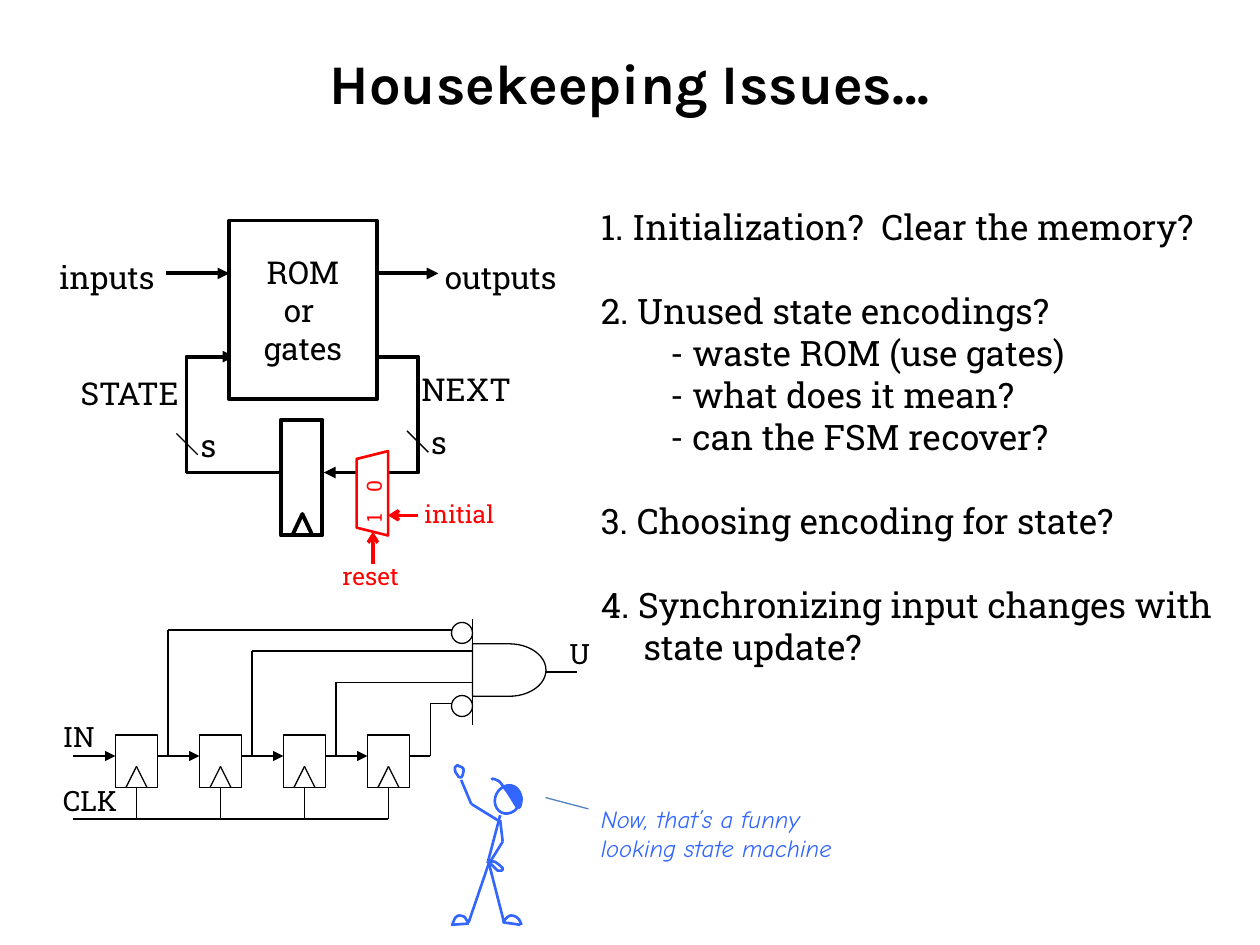
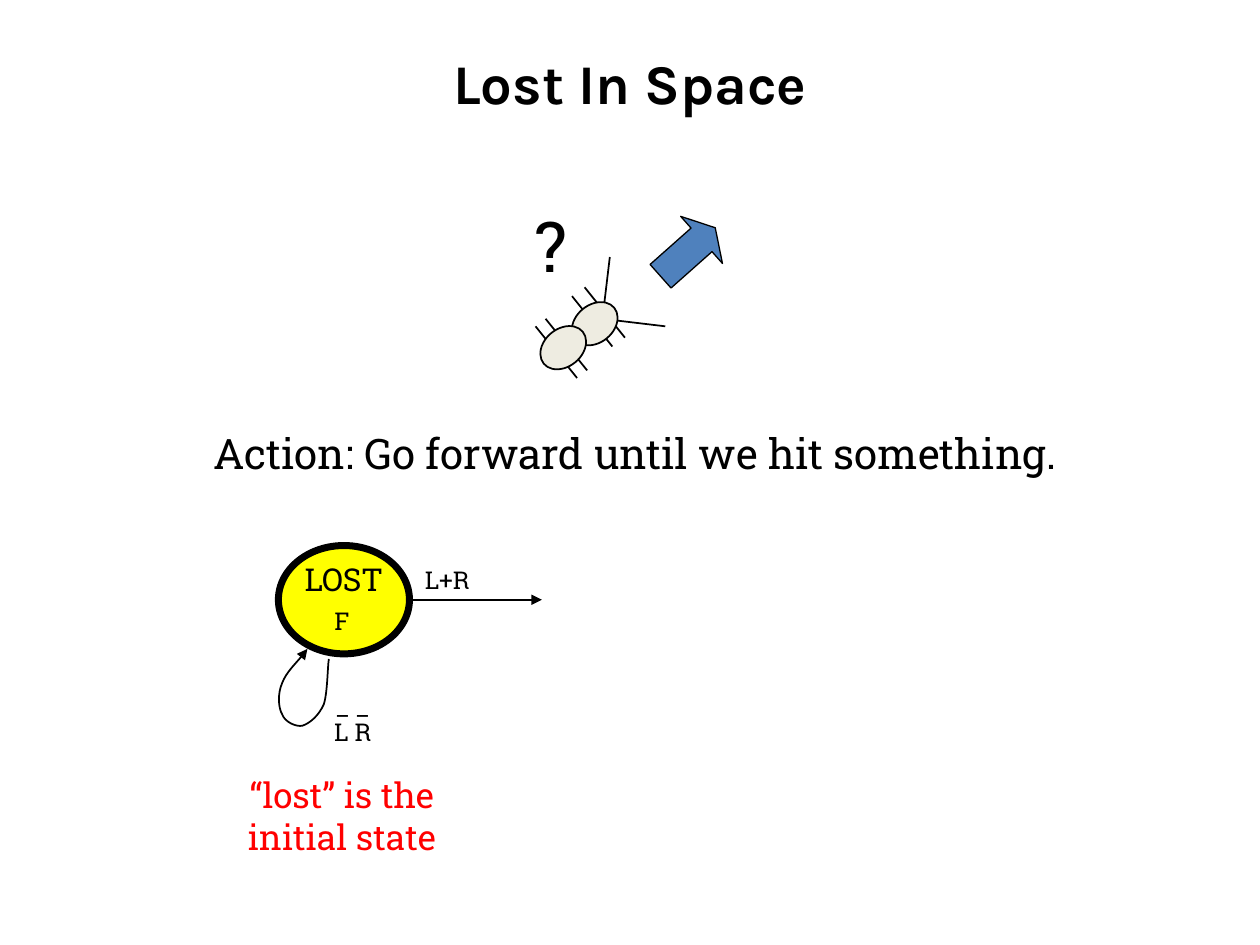
"""Build two slides on state machines: open issues and the lost state."""
from itertools import pairwise
from lxml.etree import SubElement
from pptx import Presentation
from pptx.dml.color import RGBColor
from pptx.enum.shapes import MSO_CONNECTOR, MSO_SHAPE
from pptx.enum.text import MSO_ANCHOR, PP_ALIGN
from pptx.oxml.ns import qn
from pptx.util import Inches, Pt

HUES = {"ink": "000000", "paper": "FFFFFF", "red": "FF0000", "pen": "3366FF",
        "steel": "4F81BD", "shell": "EEECE1", "sun": "FFFF00"}
SLAB, KARLA, COMIC = "Roboto Slab", "Karla", "Comic Neue"
MID, LEFT = PP_ALIGN.CENTER, PP_ALIGN.LEFT
TIGHT = (0.07, 0.03)

ISSUES = [
    ("1. Initialization?  Clear the memory?", 0, 0),
    ("2. Unused state encodings?", 0, 24),
    ("- waste ROM (use gates)", 0.55, 0),
    ("- what does it mean?", 0.55, 0),
    ("- can the FSM recover?", 0.55, 0),
    ("3. Choosing encoding for state?", 0, 24),
    ("4. Synchronizing input changes with", 0, 24),
    ("state update?", 0.34, 0),
]
LABELS = [
    ("NEXT", (3.23, 2.89, 0.94, 0.4)), ("STATE", (0.51, 2.92, 1.04, 0.4)),
    ("inputs", (0.33, 2, 1.04, 0.4)), ("outputs", (3.39, 2, 1.17, 0.4)),
    ("s", (3.32, 3.31, 0.33, 0.4)), ("s", (1.49, 3.33, 0.33, 0.4)),
]
PINS = [("IN", (0.4, 5.66, 0.46, 0.37)), ("CLK", (0.4, 6.17, 0.66, 0.37)),
        ("U", (4.42, 5, 0.38, 0.37))]
LIMBS = [
    [(3.97, 6.47), (3.87, 6.85)], [(3.88, 6.85), (3.72, 7.32)],
    [(3.88, 6.85), (4, 7.32)], [(3.72, 7.33), (3.58, 7.34)],
    [(3.99, 7.32), (4.13, 7.34)], [(3.95, 6.51), (3.74, 6.38)],
    [(3.74, 6.38), (3.66, 6.19)], [(3.97, 6.51), (3.99, 6.68)],
    [(3.99, 6.68), (3.89, 6.84)],
]
SHOES = [
    [(3.59, 7.34), (3.6, 7.31), (3.61, 7.28), (3.63, 7.27), (3.64, 7.26),
     (3.68, 7.27), (3.69, 7.28), (3.7, 7.29), (3.71, 7.32), (3.72, 7.33)],
    [(4.14, 7.34), (4.12, 7.3), (4.12, 7.29), (4.1, 7.28), (4.09, 7.27),
     (4.05, 7.26), (4.04, 7.27), (4.02, 7.28), (4, 7.31), (3.99, 7.32)],
]
HANDS = [
    [(3.66, 6.17), (3.67, 6.17), (3.68, 6.12), (3.68, 6.11), (3.68, 6.09),
     (3.65, 6.08), (3.64, 6.08), (3.64, 6.07), (3.63, 6.07), (3.62, 6.08),
     (3.62, 6.08), (3.6, 6.1), (3.61, 6.11), (3.61, 6.12), (3.62, 6.14),
     (3.63, 6.15), (3.63, 6.16), (3.65, 6.18), (3.66, 6.17)],
    [(3.88, 6.84), (3.89, 6.83), (3.92, 6.84), (3.93, 6.84), (3.94, 6.85),
     (3.96, 6.86), (3.97, 6.87), (3.98, 6.88), (3.99, 6.89), (3.99, 6.89),
     (3.99, 6.9), (3.99, 6.91), (3.98, 6.91), (3.98, 6.91), (3.96, 6.91),
     (3.95, 6.91), (3.94, 6.9), (3.93, 6.89), (3.92, 6.88), (3.91, 6.87),
     (3.88, 6.84), (3.88, 6.84)],
]
BRIM = [(4.11, 6.42), (4.08, 6.37), (4.05, 6.32), (4.03, 6.29), (4, 6.25),
        (3.98, 6.22), (3.96, 6.2), (3.94, 6.19), (3.92, 6.18), (3.91, 6.18),
        (3.9, 6.18), (3.9, 6.19), (3.9, 6.19)]
CAP = [(4.12, 6.41), (4.13, 6.41), (4.14, 6.37), (4.14, 6.34), (4.14, 6.32),
       (4.13, 6.29), (4.11, 6.27), (4.1, 6.26), (4.08, 6.24), (4.07, 6.24),
       (4.05, 6.23), (4.04, 6.24), (4.03, 6.24), (4.02, 6.24), (4.01, 6.23),
       (4.01, 6.25), (4.02, 6.26), (4.04, 6.3), (4.06, 6.33), (4.08, 6.35),
       (4.11, 6.4), (4.12, 6.41)]
LEGS = [
    [(5.28, 2.59), (4.86, 2.54)], [(4.33, 2.53), (4.66, 2.94)],
    [(4.25, 2.59), (4.58, 3)], [(4.64, 2.28), (4.96, 2.68)],
    [(4.54, 2.35), (4.86, 2.75)], [(4.84, 2.04), (4.79, 2.46)],
]
LOOP = [(2.61, 5.23), (2.6, 5.29), (2.6, 5.5), (2.57, 5.59), (2.53, 5.68),
        (2.46, 5.74), (2.4, 5.76), (2.35, 5.77), (2.26, 5.73), (2.24, 5.67),
        (2.21, 5.62), (2.2, 5.51), (2.24, 5.42), (2.27, 5.34), (2.4, 5.21),
        (2.44, 5.15)]
STATE = [
    ("LOST", (2.3, 4.45, 0.86, 0.33), 18, 0.88),
    ("F", (2.58, 4.81, 0.27, 0.27), 14, 0.9),
    ("L+R", (3.28, 4.48, 0.54, 0.27), 14, 0.9),
    ("_ _\nL R", (2.57, 5.48, 0.46, 0.48), 14, 0.9),
    ("Action: Go forward until we hit something.", (1.5, 3.42, 7.08, 0.42), 24, 0.87),
]


def tint(name):
    return RGBColor.from_string(HUES[name])


def style(frame, words, size, hue="ink", face=SLAB, align=MID, gap=None,
          bold=False, slant=False):
    frame.text = words
    for para in frame.paragraphs:
        para.alignment = align
        if gap:
            para.line_spacing = gap
        font = para.font
        font.name, font.size, font.bold, font.italic = face, Pt(size), bold, slant
        font.color.rgb = tint(hue)


def write(slide, words, box, size, wrap=False, inset=(0.1, 0.05), turn=0, **look):
    text = slide.shapes.add_textbox(*map(Inches, box))
    text.rotation = turn
    frame = text.text_frame
    frame.word_wrap = wrap
    frame.margin_left = frame.margin_right = Inches(inset[0])
    frame.margin_top = frame.margin_bottom = Inches(inset[1])
    style(frame, words, size, **look)
    return frame


def paint(part, fill, hue, width):
    part.shadow.inherit = False
    if fill:
        part.fill.solid()
        part.fill.fore_color.rgb = tint(fill)
    else:
        part.fill.background()
    part.line.color.rgb = tint(hue)
    part.line.width = Pt(width)


def shape(slide, kind, box, fill="paper", hue="ink", width=0.75, turn=0):
    part = slide.shapes.add_shape(kind, *map(Inches, box))
    part.rotation = turn
    paint(part, fill, hue, width)
    return part


def tip(part, head, tail):
    for end, mark in (("a:headEnd", head), ("a:tailEnd", tail)):
        if mark:
            SubElement(part.line._get_or_add_ln(), qn(end), type=mark)


def wire(slide, *dots, hue="ink", width=0.75, tail=None):
    for (x, y), (u, v) in pairwise(dots):
        part = slide.shapes.add_connector(MSO_CONNECTOR.STRAIGHT, *map(Inches, (x, y, u, v)))
        part.line.color.rgb = tint(hue)
        part.line.width = Pt(width)
        SubElement(part._element.spPr, qn("a:effectLst"))
        tip(part, None, tail)


def trace(slide, dots, hue="ink", width=0.75, head=None, tail=None, fill=None,
          close=False, curve=False):
    spots = [(Inches(x), Inches(y)) for x, y in dots]
    pen = slide.shapes.build_freeform(*spots[0])
    pen.add_line_segments(spots[1:], close=close)
    part = pen.convert_to_shape()
    paint(part, fill, hue, width)
    tip(part, head, tail)
    if curve:
        legs = list(part._element.iter(qn("a:lnTo")))[:len(dots) - 1]
        for k in range(0, len(legs), 3):
            arc = SubElement(legs[k].getparent(), qn("a:cubicBezTo"))
            legs[k].addprevious(arc)
            for leg in legs[k:k + 3]:
                arc.append(leg[0])
                leg.getparent().remove(leg)


def page(deck, title):
    slide = deck.slides.add_slide(deck.slide_layouts[6])
    frame = write(slide, title, (0.5, 0.3, 9, 0.7), 32, wrap=True, face=KARLA, bold=True)
    frame.vertical_anchor = MSO_ANCHOR.MIDDLE
    return slide


def draw_rom(slide):
    bold = {"width": 2.25}
    shape(slide, MSO_SHAPE.RECTANGLE, (2.23, 3.33, 0.33, 0.92), fill=None, **bold)
    trace(slide, [(2.32, 4.25), (2.4, 4.08), (2.48, 4.25)], **bold)
    trace(slide, [(2.94, 2.83), (3.32, 2.83), (3.32, 3.75), (2.57, 3.75)],
          tail="triangle", **bold)
    trace(slide, [(1.86, 2.83), (1.48, 2.83), (1.48, 3.75), (2.23, 3.75)],
          head="triangle", **bold)
    rom = shape(slide, MSO_SHAPE.RECTANGLE, (1.82, 1.75, 1.17, 1.42), **bold)
    rom.text_frame.word_wrap = False
    rom.text_frame.vertical_anchor = MSO_ANCHOR.MIDDLE
    style(rom.text_frame, "ROM\nor \ngates", 18)
    for x in (1.32, 2.98):
        wire(slide, (x, 2.17), (x + 0.5, 2.17), tail="triangle", **bold)
    for x, y in ((3.23, 3.42), (1.4, 3.44)):
        wire(slide, (x, y), (x + 0.17, y + 0.17))
    for words, box in LABELS:
        write(slide, words, box, 18)


def draw_mux(slide):
    red = {"hue": "red"}
    shape(slide, MSO_SHAPE.TRAPEZOID, (2.62, 3.79, 0.67, 0.25), width=1.5, turn=270, **red)
    wire(slide, (2.96, 4.48), (2.96, 4.22), width=2, tail="arrow", **red)
    wire(slide, (3.32, 4.09), (3.08, 4.09), width=2, tail="arrow", **red)
    for words, box in (("reset", (2.62, 4.4, 0.67, 0.34)), ("initial", (3.27, 3.91, 0.76, 0.34))):
        write(slide, words, box, 14, align=LEFT, **red)
    ports = write(slide, "1 0", (2.65, 3.78, 0.63, 0.3), 12, wrap=True, turn=270,
                  align=LEFT, **red)
    ports.paragraphs[0].runs[0].font._element.set("spc", "450")


def draw_chain(slide):
    unit = 1 / 12
    side, first, foot = 4 * unit, 11 * unit, 6.25
    rails = (5, 62 * unit, 65 * unit)
    for k in range(4):
        x = first + k * 2 * side
        mid = x + side / 2
        shape(slide, MSO_SHAPE.RECTANGLE, (x, foot - 5 * unit, side, 5 * unit))
        wire(slide, (mid - unit, foot), (mid, foot - 2 * unit), (mid + unit, foot))
        wire(slide, (x - side, 6), (x, 6), tail="triangle")
        wire(slide, (mid, foot), (mid, 6.5))
    for k, y in enumerate(rails):
        tap = 16 * unit + k * 2 * side
        wire(slide, (tap, 6), (tap, y), (3.75, y))
    wire(slide, (3.25, 6), (41 * unit, 6), (41 * unit, 67 * unit), (3.75, 67 * unit))
    wire(slide, (3.75, 59 * unit), (3.75, 69 * unit))
    for y in (5.52, 4.94):
        shape(slide, MSO_SHAPE.OVAL, (43 * unit, y, 2 * unit, 2 * unit))
    wire(slide, (37 * unit, 6.5), (7 * unit, 6.5))
    shape(slide, MSO_SHAPE.FLOWCHART_DELAY, (3.75, 5.11, 7 * unit, 5 * unit))
    wire(slide, (52 * unit, 64 * unit), (55 * unit, 64 * unit))
    for words, box in PINS:
        write(slide, words, box, 16, align=LEFT)


def draw_figure(slide):
    write(slide, "Now, that’s a funny \vlooking state machine", (4.67, 6.33, 2.24, 0.57), 14,
          hue="pen", face=COMIC, align=LEFT, slant=True)
    wire(slide, (4.33, 6.33), (4.67, 6.42), hue="steel")
    pen = {"hue": "pen", "width": 1.5}
    for dots in LIMBS:
        wire(slide, *dots, **pen)
    for dots in SHOES:
        trace(slide, dots, curve=True, **pen)
    for dots in HANDS:
        trace(slide, dots, curve=True, close=True, **pen)
    shape(slide, MSO_SHAPE.OVAL, (3.93, 6.23, 0.2, 0.23), fill=None, turn=26.4, **pen)
    trace(slide, BRIM, curve=True, **pen)
    trace(slide, CAP, curve=True, fill="pen", close=True, **pen)


def list_issues(slide):
    words = "\n".join(row[0] for row in ISSUES)
    frame = write(slide, words, (4.67, 1.58, 5.24, 3.8), 20, wrap=True, align=LEFT)
    for para, (_, dent, lead) in zip(frame.paragraphs, ISSUES):
        para.space_before = Pt(lead)
        para._p.get_or_add_pPr().set("marL", str(Inches(dent)))


def draw_lost(slide):
    write(slide, "?", (4.17, 1.58, 0.44, 0.73), 40, inset=TIGHT, align=LEFT)
    for dots in LEGS:
        wire(slide, *dots, width=1)
    for x, y in ((4.57, 2.37), (4.32, 2.56)):
        shape(slide, MSO_SHAPE.OVAL, (x, y, 0.3, 0.4), "shell", width=1, turn=50.8)
    shape(slide, MSO_SHAPE.OVAL, (2.21, 4.33, 1.04, 0.86), "sun", width=4)
    wire(slide, (3.24, 4.76), (4.3, 4.76), width=1, tail="triangle")
    trace(slide, LOOP, curve=True, width=1, tail="triangle")
    for words, box, size, gap in STATE:
        write(slide, words, box, size, inset=TIGHT, gap=gap)
    write(slide, "“lost” is the\ninitial state", (1.83, 6.09, 1.77, 0.77), 20, hue="red")
    arrow = shape(slide, MSO_SHAPE.RIGHT_ARROW, (5.17, 1.75, 0.58, 0.5), "steel", turn=318.4)
    arrow.adjustments[1] = 0.29


def main():
    deck = Presentation()
    deck.slide_width, deck.slide_height = Inches(10), Inches(7.5)
    issues = page(deck, "Housekeeping Issues…")
    for draw in (draw_rom, list_issues, draw_chain, draw_figure, draw_mux):
        draw(issues)
    draw_lost(page(deck, "Lost In Space"))
    deck.save("out.pptx")


if __name__ == "__main__":
    main()
